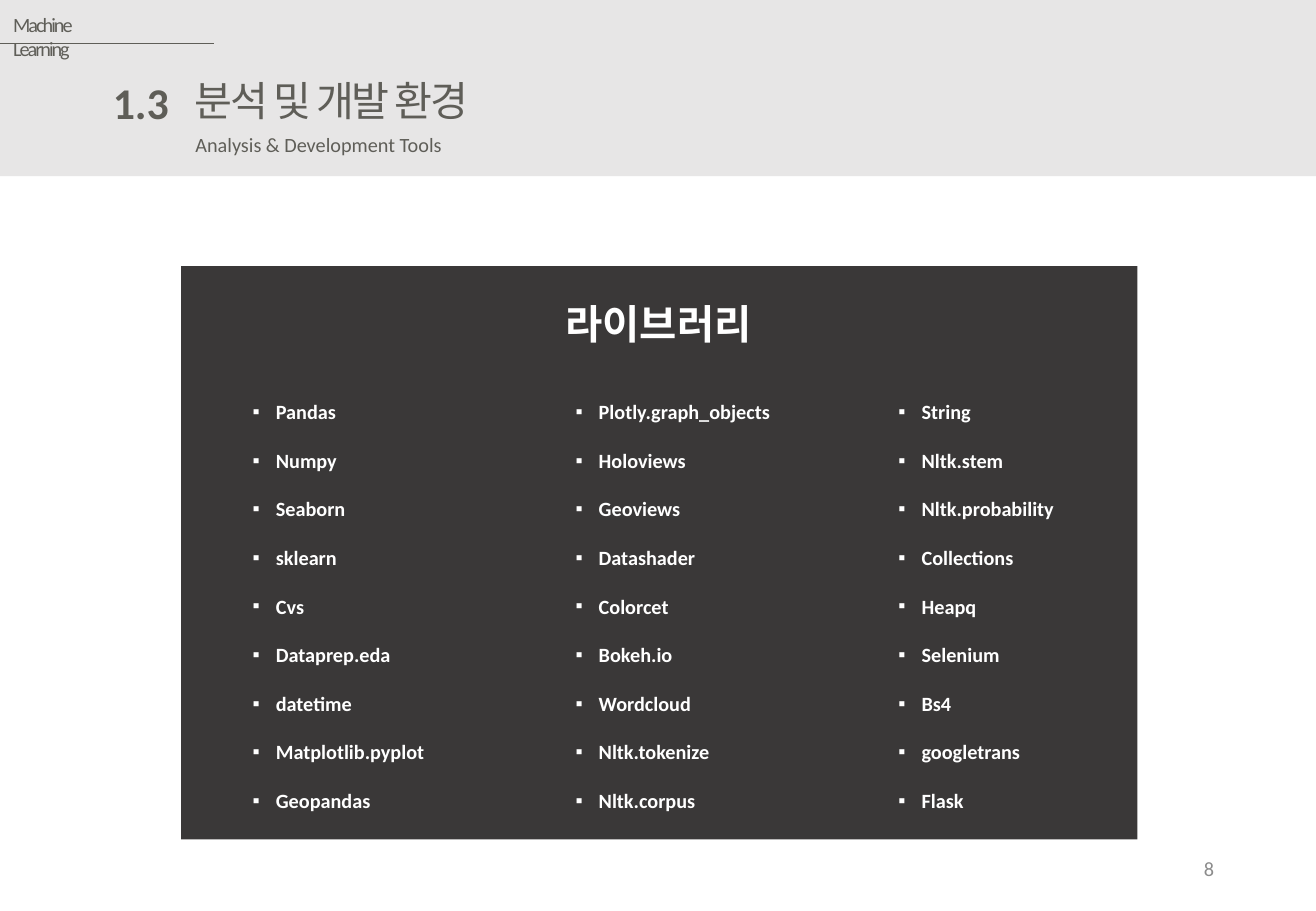
from dataclasses import dataclass

from lxml.etree import SubElement
from pptx import Presentation
from pptx.dml.color import RGBColor
from pptx.enum.shapes import MSO_CONNECTOR, MSO_SHAPE
from pptx.enum.text import MSO_ANCHOR as Anchor, MSO_AUTO_SIZE as AutoSize, PP_ALIGN as Align
from pptx.oxml.ns import qn
from pptx.util import Inches, Pt


@dataclass(frozen=True)
class Theme:
    band: RGBColor = RGBColor.from_string("E7E6E6")
    panel: RGBColor = RGBColor.from_string("3A3838")
    heading: RGBColor = RGBColor.from_string("5F5E58")
    light: RGBColor = RGBColor.from_string("FFFFFF")
    muted: RGBColor = RGBColor.from_string("8C8C8C")
    font: str = "Calibri"
    title_font: str = "Arial"
    number_size: float = 26
    title_size: float = 24.4
    panel_title_size: float = 24
    body_size: float = 12
    tight_spacing: float = -1.2


THEME = Theme()

LIBRARIES = [
    "Pandas", "Numpy", "Seaborn", "sklearn", "Cvs",
    "Dataprep.eda", "datetime", "Matplotlib.pyplot", "Geopandas",
    "Plotly.graph_objects", "Holoviews", "Geoviews", "Datashader", "Colorcet",
    "Bokeh.io", "Wordcloud", "Nltk.tokenize", "Nltk.corpus",
    "String", "Nltk.stem", "Nltk.probability", "Collections", "Heapq",
    "Selenium", "Bs4", "googletrans", "Flask",
]


def add_block(slide, left, top, width, height, color):
    block = slide.shapes.add_shape(
        MSO_SHAPE.RECTANGLE, Inches(left), Inches(top), Inches(width), Inches(height))
    block.shadow.inherit = False
    block.fill.solid()
    block.fill.fore_color.rgb = color
    block.line.fill.background()


def add_rule(slide, left, right, y):
    rule = slide.shapes.add_connector(
        MSO_CONNECTOR.STRAIGHT, Inches(left), Inches(y), Inches(right), Inches(y))
    rule.line.color.rgb = THEME.heading
    rule.line.width = Pt(0.5)
    SubElement(rule._element.spPr, qn("a:effectLst"))


def style(paragraph, size, color, bold=False, font=THEME.font):
    paragraph.font.name = font
    paragraph.font.size = Pt(size)
    paragraph.font.bold = bold
    paragraph.font.color.rgb = color


def add_text(slide, text, left, top, width, height, size=THEME.body_size,
             color=THEME.heading, bold=False, font=THEME.font, align=Align.LEFT,
             anchor=Anchor.TOP, wrap=False, spacing=None):
    box = slide.shapes.add_textbox(Inches(left), Inches(top), Inches(width), Inches(height))
    frame = box.text_frame
    frame.word_wrap = wrap
    frame.vertical_anchor = anchor
    paragraph = frame.paragraphs[0]
    paragraph.text = text
    paragraph.alignment = align
    style(paragraph, size, color, bold, font)
    if spacing is not None:
        properties = paragraph._p.pPr.find(qn("a:defRPr"))
        properties.set("spc", str(round(spacing * 100)))


def add_bullet(paragraph, indent):
    properties = paragraph._p.get_or_add_pPr()
    properties.set("marL", str(indent))
    properties.set("indent", str(-indent))
    SubElement(properties, qn("a:buFont"), typeface="Arial")
    SubElement(properties, qn("a:buChar"), char="▪")


def add_column_list(slide, items, left, top, width, height, columns, gap):
    """Add one bulleted list that flows through equal columns."""
    box = slide.shapes.add_textbox(Inches(left), Inches(top), Inches(width), Inches(height))
    frame = box.text_frame
    frame.word_wrap = True
    frame.auto_size = AutoSize.SHAPE_TO_FIT_TEXT
    frame.margin_left = Inches(0.59)
    body = frame._txBody.bodyPr
    body.set("numCol", str(columns))
    body.set("spcCol", str(Inches(gap)))
    for index, item in enumerate(items):
        paragraph = frame.add_paragraph() if index else frame.paragraphs[0]
        paragraph.text = item
        add_bullet(paragraph, Inches(0.19))
        paragraph.line_spacing = 2.0
        style(paragraph, THEME.body_size, THEME.light, bold=True)


def add_header(slide):
    add_block(slide, 0, -0.01, 10.83, 1.46, THEME.band)
    add_rule(slide, -0.01, 1.76, 0.36)
    add_text(slide, "Machine Learning", 0.01, 0.05, 1, 0.3,
             wrap=True, spacing=THEME.tight_spacing)
    add_text(slide, "1.3", 0.82, 0.57, 0.67, 0.54, size=THEME.number_size,
             bold=True, align=Align.RIGHT)
    add_text(slide, "분석 및 개발 환경", 1.5, 0.57, 2.79, 0.51, size=THEME.title_size,
             font=THEME.title_font, spacing=THEME.tight_spacing)
    add_text(slide, "Analysis & Development Tools", 1.51, 1.04, 2.26, 0.3)


def add_library_panel(slide):
    add_block(slide, 1.49, 2.19, 7.87, 4.72, THEME.panel)
    add_column_list(slide, LIBRARIES, 1.49, 3.04, 7.87, 3.74, columns=3, gap=0.79)
    add_text(slide, "라이브러리", 1.09, 2.27, 8.66, 0.79, size=THEME.panel_title_size,
             color=THEME.light, bold=True, align=Align.CENTER,
             anchor=Anchor.MIDDLE, wrap=True)


def main():
    presentation = Presentation()
    presentation.slide_width = Inches(10.83)
    presentation.slide_height = Inches(7.5)
    slide = presentation.slides.add_slide(presentation.slide_layouts[6])
    add_header(slide)
    add_library_panel(slide)
    add_text(slide, "8", 7.65, 6.95, 2.44, 0.4, color=THEME.muted,
             align=Align.RIGHT, anchor=Anchor.MIDDLE, wrap=True)
    presentation.save("out.pptx")


if __name__ == "__main__":
    main()
